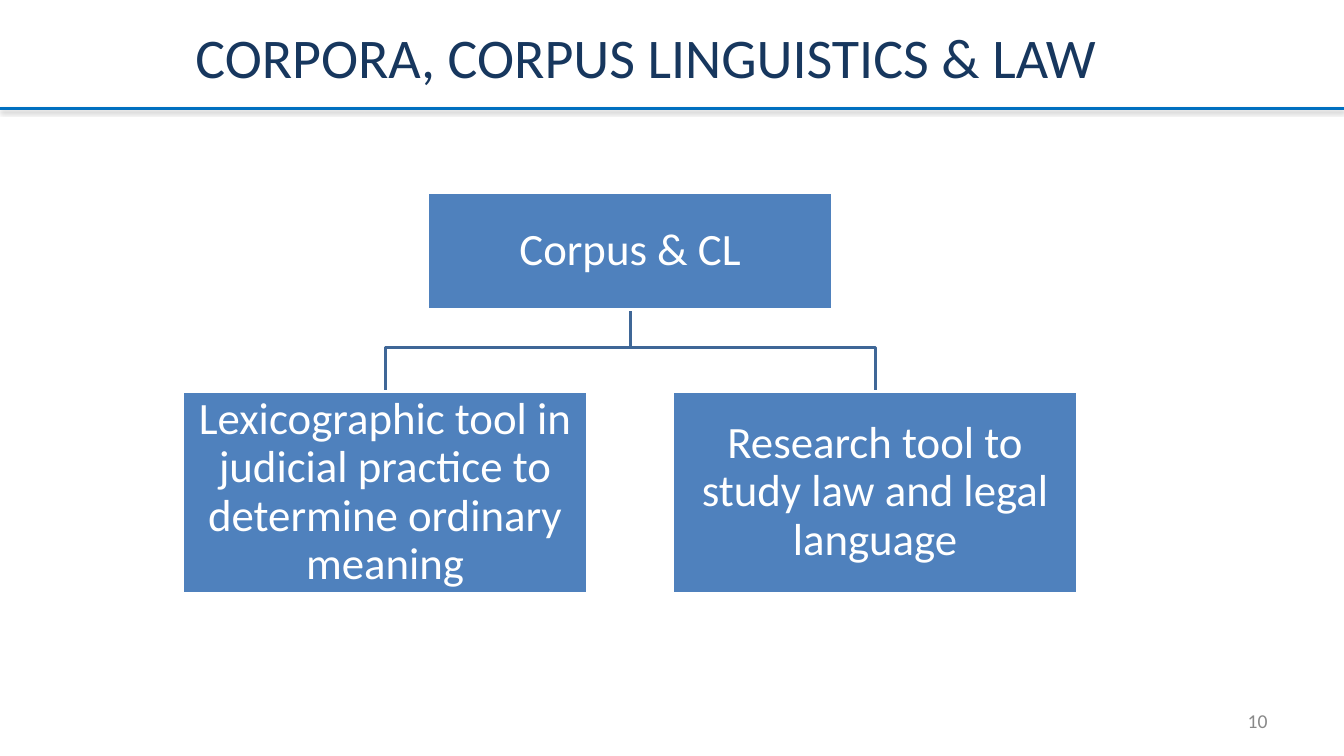
from dataclasses import dataclass

from lxml import etree
from pptx import Presentation
from pptx import util as u
from pptx.dml.color import RGBColor
from pptx.enum import shapes, text
from pptx.oxml import ns

NAVY = RGBColor(0x17, 0x37, 0x5E)
RULE_BLUE = RGBColor(0x00, 0x70, 0xC0)
BOX_BLUE = RGBColor(0x4F, 0x81, 0xBD)
BRANCH_BLUE = RGBColor(0x3F, 0x67, 0x97)
GREY = RGBColor(0x89, 0x89, 0x89)
WHITE = RGBColor(0xFF, 0xFF, 0xFF)

FONT = "Calibri"
SLIDE_WIDTH = 13.33
BOX_WIDTH = 4.02
BRANCH_Y = 3.45


@dataclass(frozen=True)
class Box:
    label: str
    left: float
    top: float
    height: float

    @property
    def middle(self) -> float:
        return self.left + BOX_WIDTH / 2

    @property
    def bottom(self) -> float:
        return self.top + self.height


ROOT = Box("Corpus & CL", 4.24, 1.91, 1.16)
USES = [
    Box("Lexicographic tool in judicial practice to determine ordinary meaning",
        1.81, 3.88, 2.01),
    Box("Research tool to study law and legal language", 6.67, 3.88, 2.01),
]


def format_text(frame, content: str, size: int, color: RGBColor, align) -> None:
    frame.text = content
    frame.word_wrap = True
    frame.vertical_anchor = text.MSO_ANCHOR.MIDDLE
    paragraph = frame.paragraphs[0]
    paragraph.alignment = align
    paragraph.font.name = FONT
    paragraph.font.size = u.Pt(size)
    paragraph.font.color.rgb = color


def draw_header_rule(slide) -> None:
    y = u.Inches(1.08)
    rule = slide.shapes.add_connector(
        shapes.MSO_CONNECTOR.STRAIGHT, 0, y, u.Inches(SLIDE_WIDTH), y)
    rule.line.color.rgb = RULE_BLUE
    rule.line.width = u.Pt(2)
    effects = etree.SubElement(rule._element.spPr, ns.qn("a:effectLst"))
    shadow = etree.SubElement(
        effects, ns.qn("a:outerShdw"), blurRad=str(u.Pt(3.1)),
        dist=str(u.Pt(1.6)), dir="5400000", rotWithShape="0")
    shade = etree.SubElement(shadow, ns.qn("a:srgbClr"), val="000000")
    etree.SubElement(shade, ns.qn("a:alpha"), val="38000")


def draw_branch(slide, parent: Box, child: Box) -> None:
    corners = [(parent.middle, BRANCH_Y), (child.middle, BRANCH_Y),
               (child.middle, child.top)]
    builder = slide.shapes.build_freeform(
        u.Inches(parent.middle), u.Inches(parent.bottom))
    builder.add_line_segments(
        [(u.Inches(x), u.Inches(y)) for x, y in corners], close=False)
    branch = builder.convert_to_shape()
    branch.shadow.inherit = False
    branch.fill.background()
    branch.line.color.rgb = BRANCH_BLUE
    branch.line.width = u.Pt(2)


def draw_box(slide, box: Box) -> None:
    rect = slide.shapes.add_shape(
        shapes.MSO_SHAPE.RECTANGLE, u.Inches(box.left), u.Inches(box.top),
        u.Inches(BOX_WIDTH), u.Inches(box.height))
    rect.shadow.inherit = False
    rect.fill.solid()
    rect.fill.fore_color.rgb = BOX_BLUE
    rect.line.color.rgb = WHITE
    rect.line.width = u.Pt(2)
    frame = rect.text_frame
    frame.margin_left = frame.margin_right = u.Inches(0.02)
    frame.margin_top = frame.margin_bottom = u.Inches(0.02)
    format_text(frame, box.label, 32, WHITE, text.PP_ALIGN.CENTER)
    frame.paragraphs[0].line_spacing = 0.9


def main() -> None:
    deck = Presentation()
    deck.slide_width = u.Inches(SLIDE_WIDTH)
    deck.slide_height = u.Inches(7.5)
    slide = deck.slides.add_slide(deck.slide_layouts.get_by_name("Title Only"))

    draw_header_rule(slide)

    title = slide.shapes.title
    title.left, title.top = u.Inches(0.82), u.Inches(0.19)
    title.width, title.height = u.Inches(11.17), u.Inches(0.73)
    format_text(title.text_frame, "CORPORA, CORPUS LINGUISTICS & LAW",
                40, NAVY, text.PP_ALIGN.CENTER)

    page_number = slide.shapes.add_textbox(
        u.Inches(9.56), u.Inches(6.95), u.Inches(3.11), u.Inches(0.4))
    format_text(page_number.text_frame, "10", 14, GREY, text.PP_ALIGN.RIGHT)

    for use in USES:
        draw_branch(slide, ROOT, use)
    for box in [ROOT, *USES]:
        draw_box(slide, box)

    deck.save("out.pptx")


if __name__ == "__main__":
    main()
